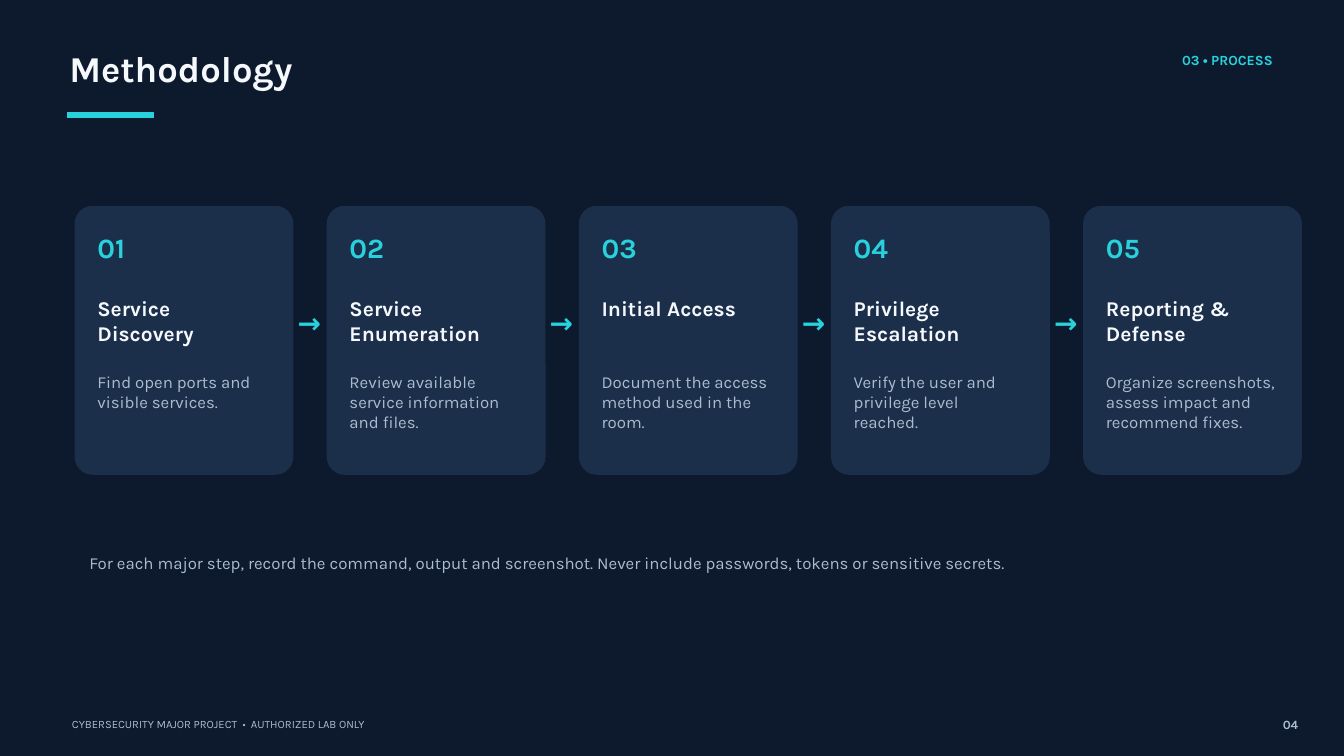
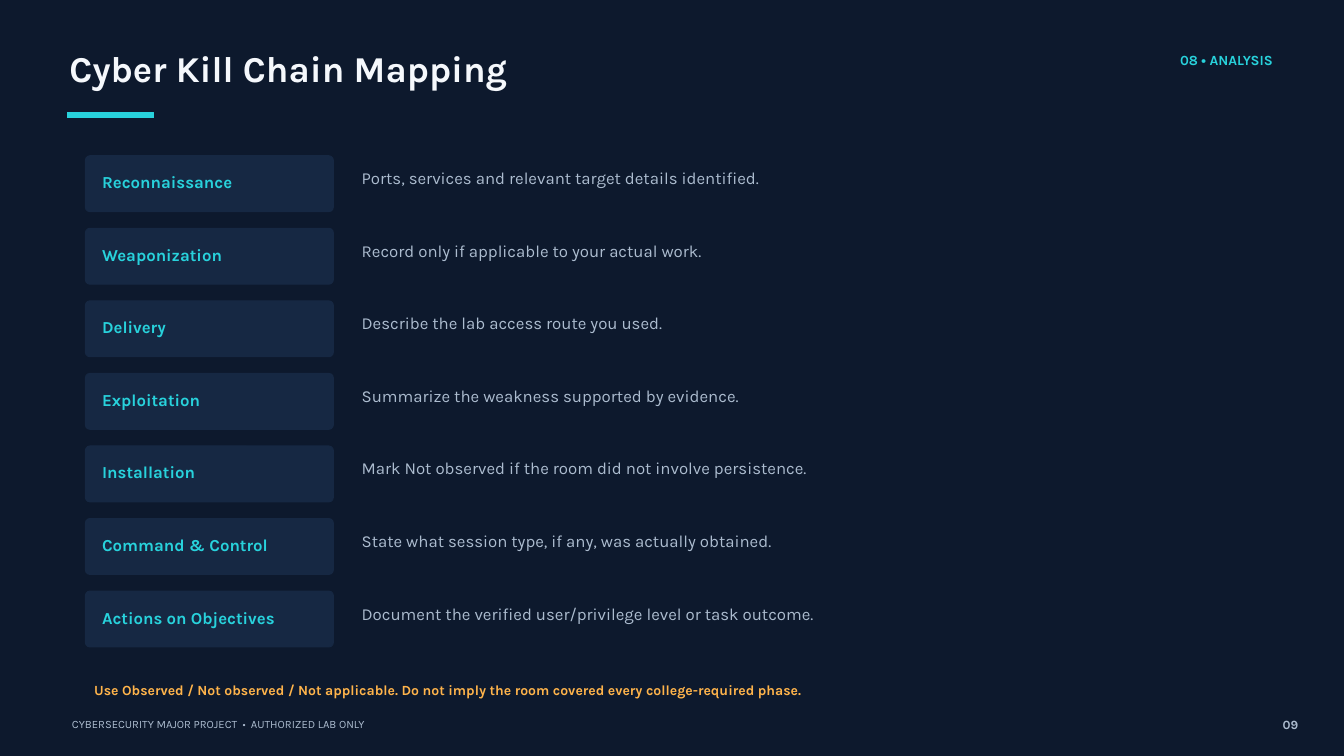
from pptx import Presentation
from pptx.dml.color import RGBColor
from pptx.enum.shapes import MSO_SHAPE as Shape
from pptx.enum.text import MSO_AUTO_SIZE as Fit, PP_ALIGN as Align
from pptx.util import Cm, Pt

FONT = "Karla"
NIGHT = "0D192D"
CARD = "1C2F4A"
LABEL = "162843"
CYAN = "28D2DC"
WHITE = "F5F8FC"
GREY = "ACBCCF"
AMBER = "FFB44B"
FOOTER = "CYBERSECURITY MAJOR PROJECT  •  AUTHORIZED LAB ONLY"

STEPS = [
    ("Service Discovery", "Find open ports and visible services."),
    ("Service Enumeration", "Review available service information and files."),
    ("Initial Access", "Document the access method used in the room."),
    ("Privilege Escalation", "Verify the user and privilege level reached."),
    ("Reporting & Defense",
     "Organize screenshots, assess impact and recommend fixes."),
]
STEP_NOTE = ("For each major step, record the command, output and screenshot. "
             "Never include passwords, tokens or sensitive secrets.")

PHASES = [
    ("Reconnaissance", "Ports, services and relevant target details identified."),
    ("Weaponization", "Record only if applicable to your actual work."),
    ("Delivery", "Describe the lab access route you used."),
    ("Exploitation", "Summarize the weakness supported by evidence."),
    ("Installation", "Mark Not observed if the room did not involve persistence."),
    ("Command & Control", "State what session type, if any, was actually obtained."),
    ("Actions on Objectives",
     "Document the verified user/privilege level or task outcome."),
]
PHASE_NOTE = ("Use Observed / Not observed / Not applicable. "
              "Do not imply the room covered every college-required phase.")


def color(code):
    return RGBColor.from_string(code)


def add_text(slide, text, left, top, width, height, size, tint,
             bold=False, align=Align.LEFT):
    box = slide.shapes.add_textbox(Cm(left), Cm(top), Cm(width), Cm(height))
    frame = box.text_frame
    frame.word_wrap = True
    frame.auto_size = Fit.SHAPE_TO_FIT_TEXT
    frame.margin_left = frame.margin_right = 0
    frame.margin_top = frame.margin_bottom = 0
    frame.text = text
    line = frame.paragraphs[0]
    line.alignment = align
    line.line_spacing = Pt(size * 1.2)
    font = line.runs[0].font
    font.name = FONT
    font.size = Pt(size)
    font.bold = bold
    font.color.rgb = color(tint)


def add_block(slide, kind, left, top, width, height, tint):
    block = slide.shapes.add_shape(kind, Cm(left), Cm(top), Cm(width), Cm(height))
    block.shadow.inherit = False
    block.fill.solid()
    block.fill.fore_color.rgb = color(tint)
    block.line.color.rgb = color(tint)
    block.line.width = Pt(1.13)
    if kind == Shape.ROUNDED_RECTANGLE:
        block.adjustments[0] = 0.08


def add_page(deck, title, topic, number):
    slide = deck.slides.add_slide(deck.slide_layouts[6])
    fill = slide.background.fill
    fill.solid()
    fill.fore_color.rgb = color(NIGHT)
    add_text(slide, title, 2.62, 1.73, 45.11, 1.85, 39, WHITE, True)
    add_block(slide, Shape.RECTANGLE, 2.54, 4.25, 3.28, 0.21, CYAN)
    add_text(slide, topic, 39.78, 1.96, 8.33, 0.89, 15, CYAN, True, Align.RIGHT)
    add_text(slide, number, 47.98, 27.1, 1.09, 0.53, 13.5, GREY, True, Align.RIGHT)
    add_text(slide, FOOTER, 2.72, 27.13, 37.11, 0.51, 12, GREY)
    return slide


def add_step(slide, index, name, detail):
    left = 2.84 + 9.53 * index
    inner = left + 0.84
    add_block(slide, Shape.ROUNDED_RECTANGLE, left, 7.8, 8.23, 10.13, CARD)
    add_text(slide, f"{index + 1:02}", inner, 8.71, 1.85, 1.27, 30, CYAN, True)
    add_text(slide, name, inner, 11.18, 6.6, 2.03, 22.5, WHITE, True)
    add_text(slide, detail, inner, 14.05, 6.53, 2.62, 18, GREY)
    if index < len(STEPS) - 1:
        add_text(slide, "→", left + 8.41, 11.56, 0.81, 1.09, 30, CYAN, True,
                 Align.CENTER)


def add_phase(slide, index, name, detail):
    top = 5.89 + 2.743 * index
    add_block(slide, Shape.ROUNDED_RECTANGLE, 3.23, top, 9.37, 2.11, LABEL)
    add_text(slide, name, 3.86, top + 0.61, 8.05, 0.71, 18, CYAN, True)
    add_text(slide, detail, 13.67, top + 0.46, 33.3, 1.19, 18, GREY)


def main():
    deck = Presentation()
    deck.slide_width = Cm(50.8)
    deck.slide_height = Cm(28.58)

    method = add_page(deck, "Methodology", "03 • PROCESS", "04")
    for index, (name, detail) in enumerate(STEPS):
        add_step(method, index, name, detail)
    add_text(method, STEP_NOTE, 3.38, 20.9, 44.35, 2.24, 18, GREY)

    chain = add_page(deck, "Cyber Kill Chain Mapping", "08 • ANALYSIS", "09")
    for index, (name, detail) in enumerate(PHASES):
        add_phase(chain, index, name, detail)
    add_text(chain, PHASE_NOTE, 3.56, 25.76, 44.35, 0.81, 15, AMBER, True)

    deck.save("out.pptx")


if __name__ == "__main__":
    main()
